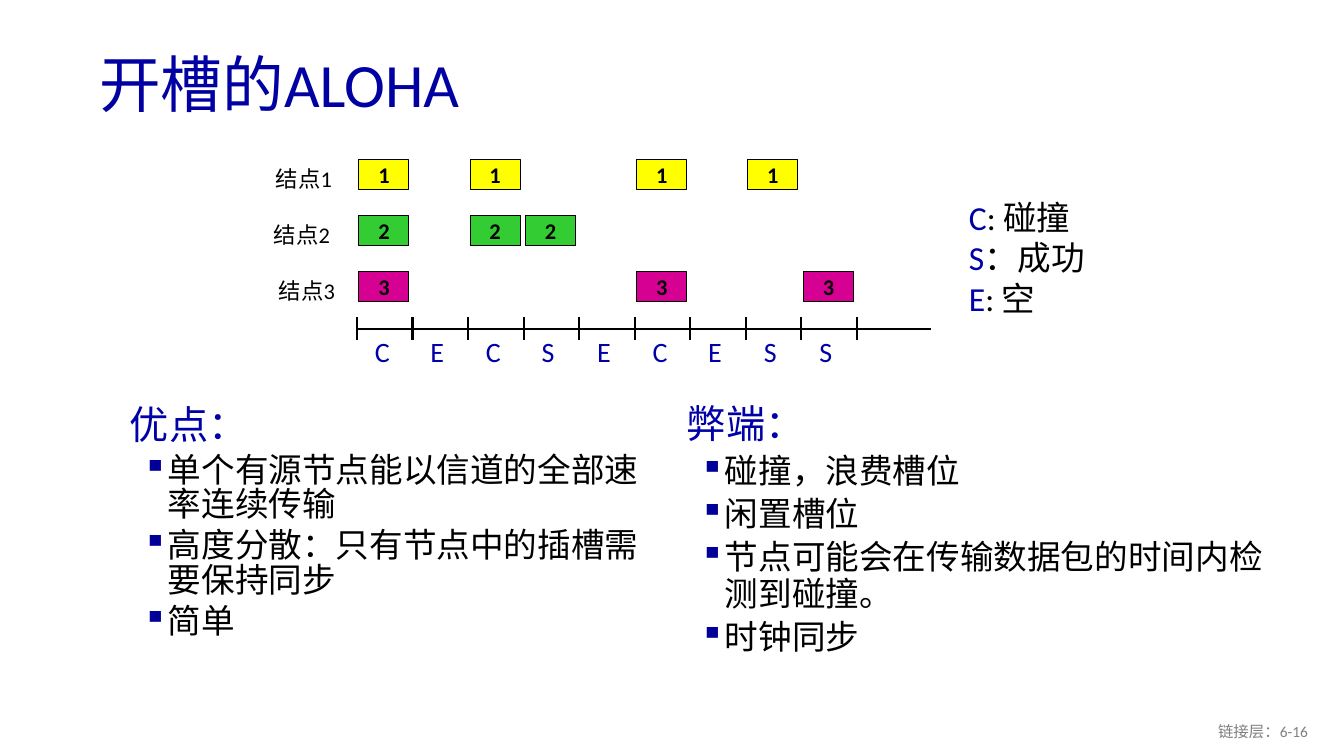
from dataclasses import dataclass
from lxml.etree import SubElement
from pptx import Presentation
from pptx.dml.color import RGBColor
from pptx.enum.shapes import MSO_CONNECTOR, MSO_SHAPE
from pptx.enum.text import MSO_ANCHOR as Anchor, MSO_AUTO_SIZE as AutoSize, PP_ALIGN as Align
from pptx.oxml.ns import qn
from pptx.util import Pt

# Content
TITLE = "开槽的ALOHA"
FOOTER = "链接层：6-16"
SLOTS = "CECSECESS"
NODES = [  # label, label left, packet text, colour, slots used
    ("结点1", 266, "1", "FFFF00", (0, 2, 5, 7)),
    ("结点2", 264, "2", "33CC33", (0, 2, 3)),
    ("结点3", 269, "3", "D60093", (0, 5, 8)),
]
LEGEND = [("C", ": 碰撞"), ("S", "：成功"), ("E", ": 空")]
LISTS = [  # box, line spacing, heading, points
    ((120, 403, 534, 353), 0.85, "优点：",
     ["单个有源节点能以信道的全部速率连续传输",
      "高度分散：只有节点中的插槽需要保持同步",
      "简单"]),
    ((677, 400, 615, 302), 0.9, "弊端：",
     ["碰撞，浪费槽位",
      "闲置槽位",
      "节点可能会在传输数据包的时间内检测到碰撞。",
      "时钟同步"]),
]


@dataclass(frozen=True)
class Theme:
    font: str = "Calibri"
    title: str = "0000A3"
    accent: str = "0000A8"
    bullet: str = "000099"
    ink: str = "000000"
    muted: str = "808080"
    title_size: int = 44
    heading_size: int = 28
    body_size: int = 24
    slot_size: int = 20
    label_size: int = 16
    footer_size: int = 11


THEME = Theme()

# Layout, in px
WIDTH, HEIGHT = 1344, 756
SCALE = 12192000 / WIDTH
AXIS_LEFT, AXIS_RIGHT, AXIS_Y = 357, 931, 329
SLOT_WIDTH = 500 / len(SLOTS)
TICK_TOP, TICK_BOTTOM = 317, 340
ROW_TOP, ROW_STEP = 160, 56
PACKET_WIDTH, PACKET_HEIGHT = 50, 30


def px(value):
    return round(value * SCALE)


def apply(target, **values):
    for name, value in values.items():
        setattr(target, name, value)


def add_run(paragraph, text, size, color, bold=False):
    run = paragraph.add_run()
    run.text = text
    apply(run.font, name=THEME.font, size=Pt(size), bold=bold)
    run.font.color.rgb = RGBColor.from_string(color)


def add_box(box, lines, wrap=False, **paragraph_format):
    """Each line is a list of (text, size, colour) runs."""
    shape = slide.shapes.add_textbox(*map(px, box))
    frame = shape.text_frame
    apply(frame, word_wrap=wrap,
          auto_size=AutoSize.NONE if wrap else AutoSize.SHAPE_TO_FIT_TEXT)
    for index, runs in enumerate(lines):
        paragraph = frame.add_paragraph() if index else frame.paragraphs[0]
        apply(paragraph, **paragraph_format)
        for run in runs:
            add_run(paragraph, *run)
    return frame


def add_bullet(paragraph):
    properties = paragraph._p.get_or_add_pPr()
    properties.set("marL", str(px(38)))
    properties.set("indent", str(px(-25)))
    color = SubElement(properties, qn("a:buClr"))
    SubElement(color, qn("a:srgbClr")).set("val", THEME.bullet)
    SubElement(properties, qn("a:buChar")).set("char", "▪")


def add_line(x1, y1, x2, y2, width):
    line = slide.shapes.add_connector(MSO_CONNECTOR.STRAIGHT, *map(px, (x1, y1, x2, y2)))
    line.line.color.rgb = RGBColor.from_string(THEME.ink)
    line.line.width = Pt(width)
    SubElement(line._element.spPr, qn("a:effectLst"))


def add_packet(left, top, text, color):
    packet = slide.shapes.add_shape(
        MSO_SHAPE.RECTANGLE, *map(px, (left, top, PACKET_WIDTH, PACKET_HEIGHT)))
    packet.shadow.inherit = False
    packet.fill.solid()
    packet.fill.fore_color.rgb = RGBColor.from_string(color)
    packet.line.color.rgb = RGBColor.from_string(THEME.ink)
    packet.line.width = Pt(0.75)
    frame = packet.text_frame
    apply(frame, margin_left=0, margin_right=0, margin_top=0, margin_bottom=0,
          vertical_anchor=Anchor.MIDDLE)
    paragraph = frame.paragraphs[0]
    paragraph.alignment = Align.CENTER
    add_run(paragraph, text, THEME.label_size, THEME.ink, bold=True)


presentation = Presentation()
apply(presentation, slide_width=px(WIDTH), slide_height=px(HEIGHT))
slide = presentation.slides.add_slide(presentation.slide_layouts[5])

# Title
title = slide.shapes.title
apply(title, left=px(89), top=px(38), width=px(1159), height=px(99))
apply(title.text_frame, vertical_anchor=Anchor.MIDDLE, word_wrap=True, auto_size=AutoSize.NONE)
apply(title.text_frame.paragraphs[0], alignment=Align.LEFT, line_spacing=0.9)
add_run(title.text_frame.paragraphs[0], TITLE, THEME.title_size, THEME.title)

# Pros and cons
for box, spacing, heading, points in LISTS:
    lines = [[(heading, THEME.heading_size, THEME.accent)]]
    lines += [[(point, THEME.body_size, THEME.ink)] for point in points]
    frame = add_box(box, lines, wrap=True, line_spacing=spacing)
    for paragraph in frame.paragraphs[1:]:
        paragraph.space_before = Pt(5)
        add_bullet(paragraph)

# Node rows with their packets
for row, (label, label_left, text, color, used) in enumerate(NODES):
    top = ROW_TOP + row * ROW_STEP
    add_box((label_left, top, 84, 37), [[(label, THEME.label_size, THEME.ink)]])
    for slot in used:
        add_packet(AXIS_LEFT + 2 + slot * SLOT_WIDTH, top, text, color)

# Time axis with slot results
add_line(AXIS_LEFT, AXIS_Y, AXIS_RIGHT, AXIS_Y, 0.75)
for index in range(len(SLOTS) + 1):
    x = AXIS_LEFT + index * SLOT_WIDTH
    add_line(x, TICK_TOP, x, TICK_BOTTOM, 1.5)
for index, result in enumerate(SLOTS):
    left = AXIS_LEFT + 8 + index * SLOT_WIDTH
    add_box((left, AXIS_Y + 1, 35, 44), [[(result, THEME.slot_size, THEME.accent)]])

# Legend
add_box((959, 192, 167, 132),
        [[(key, THEME.body_size, THEME.accent), (meaning, THEME.body_size, THEME.ink)]
         for key, meaning in LEGEND])

# Footer
footer = add_box((1016, 711, 302, 40), [[(FOOTER, THEME.footer_size, THEME.muted)]],
                 wrap=True, alignment=Align.RIGHT)
footer.vertical_anchor = Anchor.MIDDLE

presentation.save("out.pptx")
